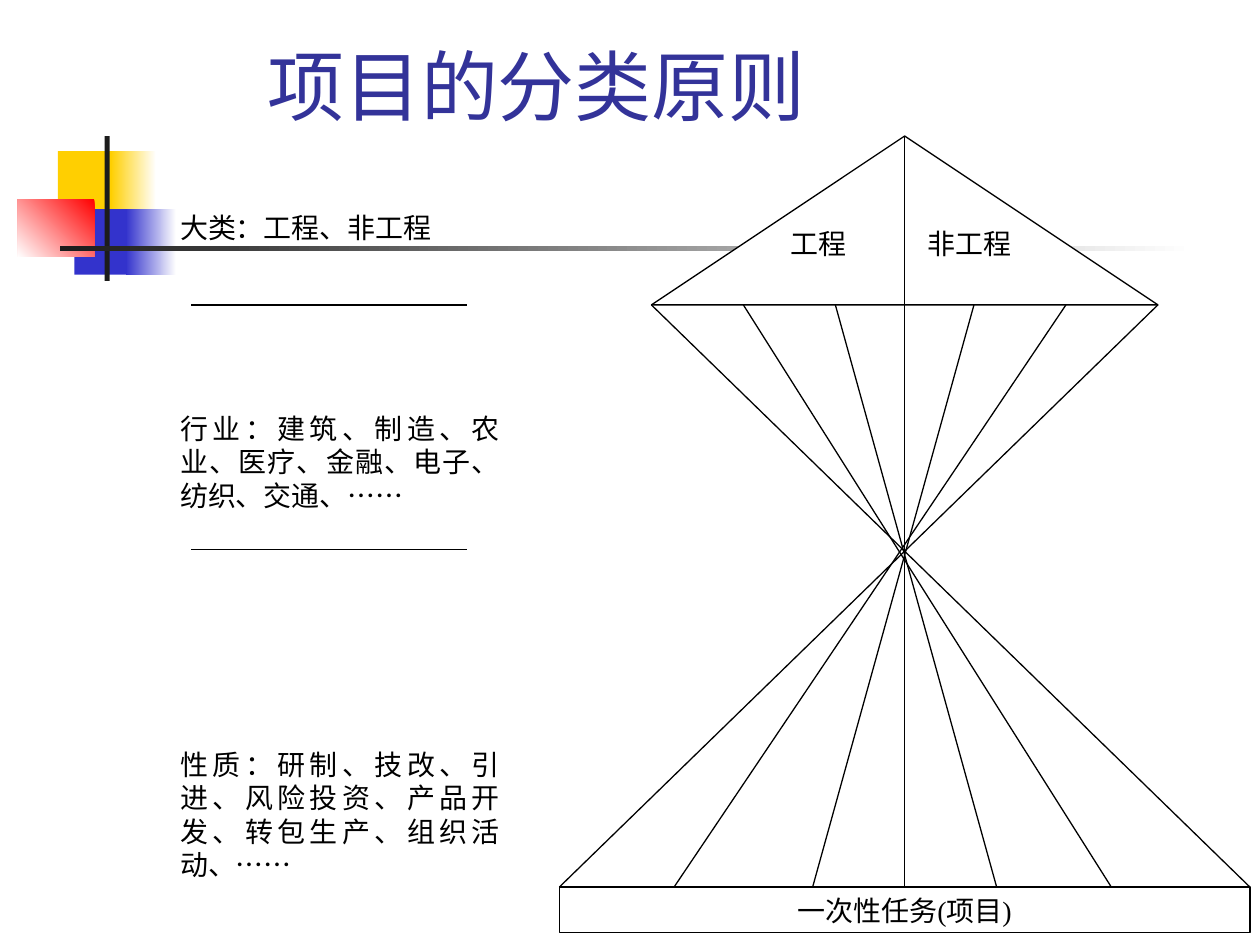
from dataclasses import dataclass

from lxml import etree
from pptx import Presentation
from pptx.dml.color import RGBColor
from pptx.enum.shapes import MSO_CONNECTOR, MSO_SHAPE
from pptx.enum.text import MSO_ANCHOR, MSO_AUTO_SIZE, PP_ALIGN
from pptx.oxml.ns import qn
from pptx.util import Inches, Pt

RECT, TRIANGLE = MSO_SHAPE.RECTANGLE, MSO_SHAPE.ISOSCELES_TRIANGLE
STRAIGHT = MSO_CONNECTOR.STRAIGHT
TOP, BOTTOM = MSO_ANCHOR.TOP, MSO_ANCHOR.BOTTOM
LEFT, CENTER, JUSTIFY = PP_ALIGN.LEFT, PP_ALIGN.CENTER, PP_ALIGN.JUSTIFY
NO_FIT = MSO_AUTO_SIZE.NONE


@dataclass(frozen=True)
class Theme:
    title: str = "333399"
    ink: str = "000000"
    paper: str = "FFFFFF"
    yellow: str = "FFCF01"
    blue: str = "3333CC"
    red: str = "FF0000"
    bar: str = "1C1C1C"
    title_font: str = "Lato"
    body_font: str = "Times New Roman"
    title_size: int = 44
    body_size: int = 16
    line_width: float = 0.75


THEME = Theme()
BODY_FONT = {"name": THEME.body_font, "size": Pt(THEME.body_size)}
TITLE_FONT = {"name": THEME.title_font, "size": Pt(THEME.title_size)}

AXIS = 7.18
PEAK, WAIST, BASE = 1.08, 2.42, 7.04
TRIANGLE_HALF, BASE_HALF = 2.01, 2.74
FAN = [(2.01, -2.74), (1.28, -1.83), (0.55, -0.73), (0, 0),
       (-0.55, 0.73), (-1.28, 1.64), (-2.01, 2.74)]
DIVIDERS = (WAIST, 4.36)

DECOR = [
    ((0.46, 1.2, 0.48, 0.52), THEME.yellow, None),
    ((0.88, 1.2, 0.36, 0.52), (THEME.paper, THEME.yellow), 180),
    ((0.59, 1.66, 0.46, 0.52), THEME.blue, None),
    ((1, 1.66, 0.4, 0.52), (THEME.paper, THEME.blue), 180),
    ((0.14, 1.58, 0.61, 0.46), (THEME.red, THEME.paper), 225),
    ((0.83, 1.08, 0.04, 1.15), THEME.bar, None),
    ((0.48, 1.95, 9, 0.04), (THEME.paper, THEME.bar), 180),
]

LEVELS = [
    ("大类：工程、非工程", 0),
    ("行业：建筑、制造、农业、医疗、金融、电子、纺织、交通、……", 95.5),
    ("性质：研制、技改、引进、风险投资、产品开发、转包生产、组织活动、……", 134.4),
]


def rgb(color):
    return RGBColor.from_string(color)


def set_attrs(obj, values):
    for name, value in values.items():
        setattr(obj, name, value)


def write(p, text, font, color, align, before=0):
    set_attrs(p, {"alignment": align, "space_before": Pt(before),
                  "line_spacing": 1.0})
    r = p.add_run()
    r.text = text
    set_attrs(r.font, font)
    r.font.color.rgb = rgb(color)


def add_tab(p, position):
    tabs = etree.SubElement(p._p.get_or_add_pPr(), qn("a:tabLst"))
    etree.SubElement(tabs, qn("a:tab"), pos=str(Inches(position)), algn="l")


def clear_bullet(p):
    pPr = p._p.get_or_add_pPr()
    for name in ("marL", "indent", "hangingPunct"):
        pPr.set(name, "0")
    etree.SubElement(pPr, qn("a:buNone"))


def add_decor(s, box, color, angle):
    sp = s.shapes.add_shape(RECT, *map(Inches, box))
    sp.shadow.inherit = False
    sp.line.fill.background()
    if angle is None:
        sp.fill.solid()
        sp.fill.fore_color.rgb = rgb(color)
    else:
        sp.fill.gradient()
        sp.fill.gradient_angle = angle
        for stop, value in zip(sp.fill.gradient_stops, color):
            stop.color.rgb = rgb(value)


def add_block(s, kind, box, text, align, tab=None):
    sp = s.shapes.add_shape(kind, *map(Inches, box))
    sp.shadow.inherit = False
    sp.fill.solid()
    sp.fill.fore_color.rgb = rgb(THEME.paper)
    sp.line.color.rgb = rgb(THEME.ink)
    sp.line.width = Pt(THEME.line_width)
    tf = sp.text_frame
    set_attrs(tf, {"word_wrap": True, "vertical_anchor": TOP})
    p = tf.paragraphs[0]
    if tab:
        add_tab(p, tab)
    write(p, text, BODY_FONT, THEME.ink, align)


def add_line(s, x1, y1, x2, y2):
    cx = s.shapes.add_connector(STRAIGHT, *map(Inches, (x1, y1, x2, y2)))
    cx.line.color.rgb = rgb(THEME.ink)
    cx.line.width = Pt(THEME.line_width)
    etree.SubElement(cx._element.spPr, qn("a:effectLst"))


def place(s, sp, box, **frame):
    s.shapes._spTree.append(sp._element)
    set_attrs(sp, dict(zip(("left", "top", "width", "height"),
                           map(Inches, box))))
    set_attrs(sp.text_frame, {"word_wrap": True, "auto_size": NO_FIT, **frame})
    return sp.text_frame


def fill_levels(s, sp):
    tf = place(s, sp, (1.33, 1.09, 2.74, 6.32),
               vertical_anchor=TOP, margin_top=Inches(0.58))
    for i, (text, before) in enumerate(LEVELS):
        p = tf.add_paragraph() if i else tf.paragraphs[0]
        clear_bullet(p)
        write(p, text, BODY_FONT, THEME.ink, JUSTIFY, before)


def add_hourglass(s):
    add_block(s, TRIANGLE,
              (AXIS - TRIANGLE_HALF, PEAK, 2 * TRIANGLE_HALF, WAIST - PEAK),
              "工程\t非工程", LEFT, tab=1.09)
    add_line(s, AXIS, PEAK, AXIS, WAIST)
    add_block(s, RECT, (AXIS - BASE_HALF, BASE, 2 * BASE_HALF, 0.36),
              "一次性任务(项目)", CENTER)
    for upper, lower in FAN:
        add_line(s, AXIS + upper, WAIST, AXIS + lower, BASE)


def main():
    prs = Presentation()
    prs.slide_width, prs.slide_height = Inches(10), Inches(7.5)
    s = prs.slides.add_slide(prs.slide_layouts[1])
    title, body = s.placeholders
    for box, color, angle in DECOR:
        add_decor(s, box, color, angle)
    fill_levels(s, body)
    add_hourglass(s)
    for y in DIVIDERS:
        add_line(s, 1.52, y, 3.71, y)
    tf = place(s, title, (0, 0.25, 8.52, 0.84), vertical_anchor=BOTTOM)
    write(tf.paragraphs[0], "项目的分类原则", TITLE_FONT, THEME.title, CENTER)
    prs.save("out.pptx")


if __name__ == "__main__":
    main()
